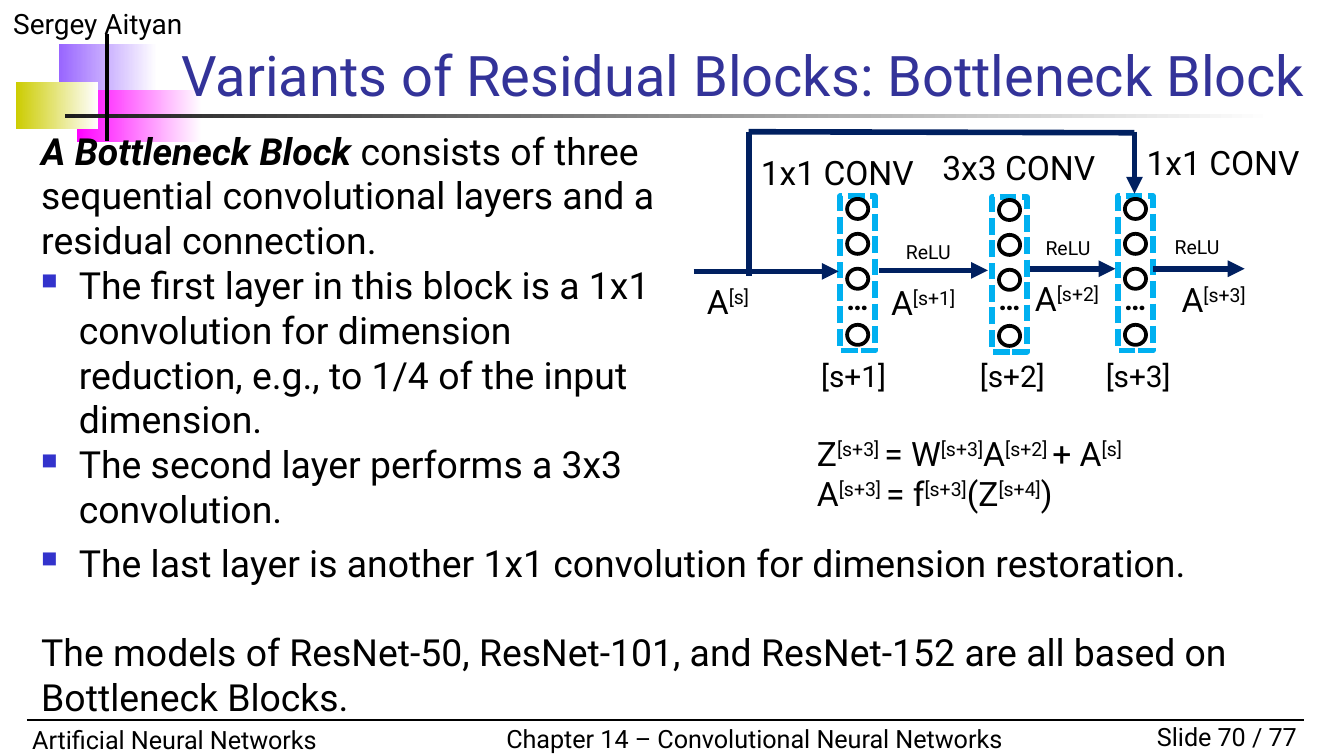
from lxml import etree
from pptx import Presentation
from pptx import util as u
from pptx.dml.color import RGBColor
from pptx.enum import dml, shapes, text
from pptx.oxml import ns

Cm, Pt = u.Cm, u.Pt
FONT = "Roboto"
COL = {
    "ink": "000000", "title": "333399", "bullet": "3333CC", "arrow": "002060",
    "layer": "00B0F0", "violet": "9966FF", "pink": "FF00FF", "olive": "CCCC00",
    "rule": "1C1C1C", "white": "FFFFFF",
}
ALIGN = {"l": text.PP_ALIGN.LEFT, "c": text.PP_ALIGN.CENTER, "r": text.PP_ALIGN.RIGHT}


def rgb(name):
    return RGBColor.from_string(COL[name])


def sub(parent, tag, **attrs):
    return etree.SubElement(parent, ns.qn(tag), **attrs)


def add_run(para, words, size, color, bold=False, italic=False, sup=False):
    run = para.add_run()
    run.text = words
    font = run.font
    font.name, font.size = FONT, Pt(size)
    font.bold, font.italic = bold, italic
    font.color.rgb = rgb(color)
    if sup:
        run._r.get_or_add_rPr().set("baseline", "30000")


def add_bullet(para):
    props = para._p.get_or_add_pPr()
    indent = Cm(0.71)
    props.set("marL", str(indent))
    props.set("indent", str(-indent))
    sub(sub(props, "a:buClr"), "a:srgbClr", val=COL["bullet"])
    sub(props, "a:buSzPct", val="60000")
    sub(props, "a:buChar", char="■")


def add_text(slide, words, x, y, w, h, size=18, color="ink", bold=False, lead="",
             align="l", pad=True, wrap=True, low=False, gap=0):
    """Each line is a paragraph: "- " makes a bullet, and every second part
    between bars is superscript. lead opens the text in bold italics;
    gap is the space before the last paragraph."""
    box = slide.shapes.add_textbox(Cm(x), Cm(y), Cm(w), Cm(h))
    frame = box.text_frame
    frame.word_wrap = wrap
    if not pad:
        frame.margin_left = frame.margin_right = 0
        frame.margin_top = frame.margin_bottom = 0
    if low:
        frame.vertical_anchor = text.MSO_ANCHOR.BOTTOM
    for i, line in enumerate(words.split("\n")):
        para = frame.paragraphs[0] if i == 0 else frame.add_paragraph()
        para.alignment = ALIGN[align]
        if line.startswith("- "):
            add_bullet(para)
            line = line[2:]
        if lead and i == 0:
            add_run(para, lead, size, color, True, True)
        for k, part in enumerate(line.split("|")):
            if part:
                add_run(para, part, size, color, bold, sup=k % 2 == 1)
    if gap:
        para.space_before = Pt(gap)


def add_label(slide, words, x, y, w=1.6, h=0.76, **style):
    add_text(slide, words, x, y, w, h, pad=False, **style)


def add_fade(slide, color, x, y, w, h):
    """A bar that fades to white on the right."""
    bar = slide.shapes.add_shape(shapes.MSO_SHAPE.RECTANGLE, Cm(x), Cm(y), Cm(w), Cm(h))
    bar.shadow.inherit = False
    bar.line.fill.background()
    bar.fill.gradient()
    bar.fill.gradient_angle = 0
    for stop, name in zip(bar.fill.gradient_stops, (color, "white")):
        stop.color.rgb = rgb(name)


def add_line(slide, x1, y1, x2, y2, color="arrow", width=3, head=False):
    line = slide.shapes.add_connector(
        shapes.MSO_CONNECTOR.STRAIGHT, Cm(x1), Cm(y1), Cm(x2), Cm(y2))
    line.line.color.rgb = rgb(color)
    line.line.width = Pt(width)
    if head:
        sub(line.line._get_or_add_ln(), "a:tailEnd", type="triangle")
    sub(line._element.spPr, "a:effectLst")


def add_ring(slide, kind, color, width, x, y, w, h):
    """An unfilled outline."""
    ring = slide.shapes.add_shape(kind, Cm(x), Cm(y), Cm(w), Cm(h))
    ring.shadow.inherit = False
    ring.fill.background()
    ring.line.color.rgb = rgb(color)
    ring.line.width = Pt(width)
    return ring


def add_layer(slide, x, y):
    kind = shapes.MSO_SHAPE
    frame = add_ring(slide, kind.RECTANGLE, "layer", 3, x, y, 0.66, 2.92)
    frame.line.dash_style = dml.MSO_LINE.SQUARE_DOT
    for drop in (0.05, 0.71, 1.37, 2.43):
        add_ring(slide, kind.OVAL, "ink", 2, x + 0.13, y + drop, 0.4, 0.38)
    add_label(slide, "…", x - 0.03, 5.31, 0.71, 0.69, size=16, bold=True, align="c")


def add_frame(slide):
    """Header and footer."""
    add_fade(slide, "violet", 1.12, 0.84, 1.85, 0.99)
    add_fade(slide, "pink", 1.45, 1.7, 2.36, 0.99)
    add_fade(slide, "olive", 0.3, 1.55, 1.55, 0.89)
    add_fade(slide, "rule", 1.22, 2.16, 22.86, 0.08)
    add_text(slide, "Sergey Aityan", 0, 0, 6.35, 0.89, size=15)
    add_text(slide, "Slide 70 / 77", 20.95, 13.51, 3.81, 0.84, size=13.5, align="r")
    add_text(slide, "Artificial Neural Networks", 0.36, 13.56, 9.4, 0.84, size=13.5)
    add_text(slide, "Chapter 14 – Convolutional Neural Networks",
             9.32, 13.54, 9.93, 0.84, size=13.5, wrap=False)
    add_line(slide, 0.51, 13.61, 24.64, 13.61, "ink", 0.75)
    add_line(slide, 2.03, 0.64, 2.03, 2.67, "ink", 2)
    add_text(slide, "Variants of Residual Blocks: Bottleneck Block",
             3.18, 0.79, 22.02, 1.37, size=30, color="title", low=True)


def add_body(slide):
    add_text(slide,
             "consists of three sequential convolutional layers and a residual connection.\n"
             "- The first layer in this block is a 1x1 convolution for dimension "
             "reduction, e.g., to 1/4 of the input dimension.\n"
             "- The second layer performs a 3x3 convolution.",
             0.53, 2.29, 12.22, 3.53, size=20, lead="A Bottleneck Block ")
    add_text(slide,
             "- The last layer is another 1x1 convolution for dimension restoration.\n"
             "The models of ResNet-50, ResNet-101, and ResNet-152 are all based on "
             "Bottleneck Blocks.",
             0.53, 10.08, 23.95, 3.02, size=20, gap=24)


def add_net(slide):
    for x, y in ((15.88, 3.71), (18.75, 3.73), (21.13, 3.71)):
        add_layer(slide, x, y)
    for n, x in enumerate((15.52, 18.52, 20.9), 1):
        add_label(slide, f"[s+{n}]", x, 6.76, h=0.69, size=16)
    for words, x, y in (("1x1 CONV", 14.38, 2.87), ("3x3 CONV", 17.81, 2.77),
                        ("1x1 CONV", 21.67, 2.69)):
        add_label(slide, words, x, y, 3.2)
    for x1, x2, y in ((13.11, 15.85, 5.13), (16.61, 18.67, 5.11),
                      (19.46, 21.08, 5.08), (21.79, 23.52, 5.08)):
        add_line(slide, x1, y, x2, y, head=True)
    for power, x, y in (("s", 13.36, 5.31), ("s+1", 16.84, 5.33),
                        ("s+2", 19.56, 5.26), ("s+3", 22.33, 5.28)):
        add_label(slide, f"A|[{power}]", x, y)
    for x, y in ((17.12, 4.47), (19.76, 4.39), (22.2, 4.37)):
        add_label(slide, "|ReLU", x, y, 1.09, 0.51)
    add_line(slide, 14.15, 5.21, 14.15, 2.49)
    add_line(slide, 14.15, 2.49, 21.44, 2.51)
    add_line(slide, 21.44, 2.49, 21.44, 3.66, head=True)
    add_label(slide,
              "Z|[s+3] |= W|[s+3]|A|[s+2] |+ A|[s]\n"
              "A|[s+3] |= f|[s+3]|(Z|[s+4]|)", 15.44, 8.18, 8, 1.55)


def main():
    deck = Presentation()
    deck.slide_width, deck.slide_height = Cm(25.4), Cm(14.29)
    slide = deck.slides.add_slide(deck.slide_layouts[6])
    add_frame(slide)
    add_body(slide)
    add_net(slide)
    deck.save("out.pptx")


if __name__ == "__main__":
    main()
